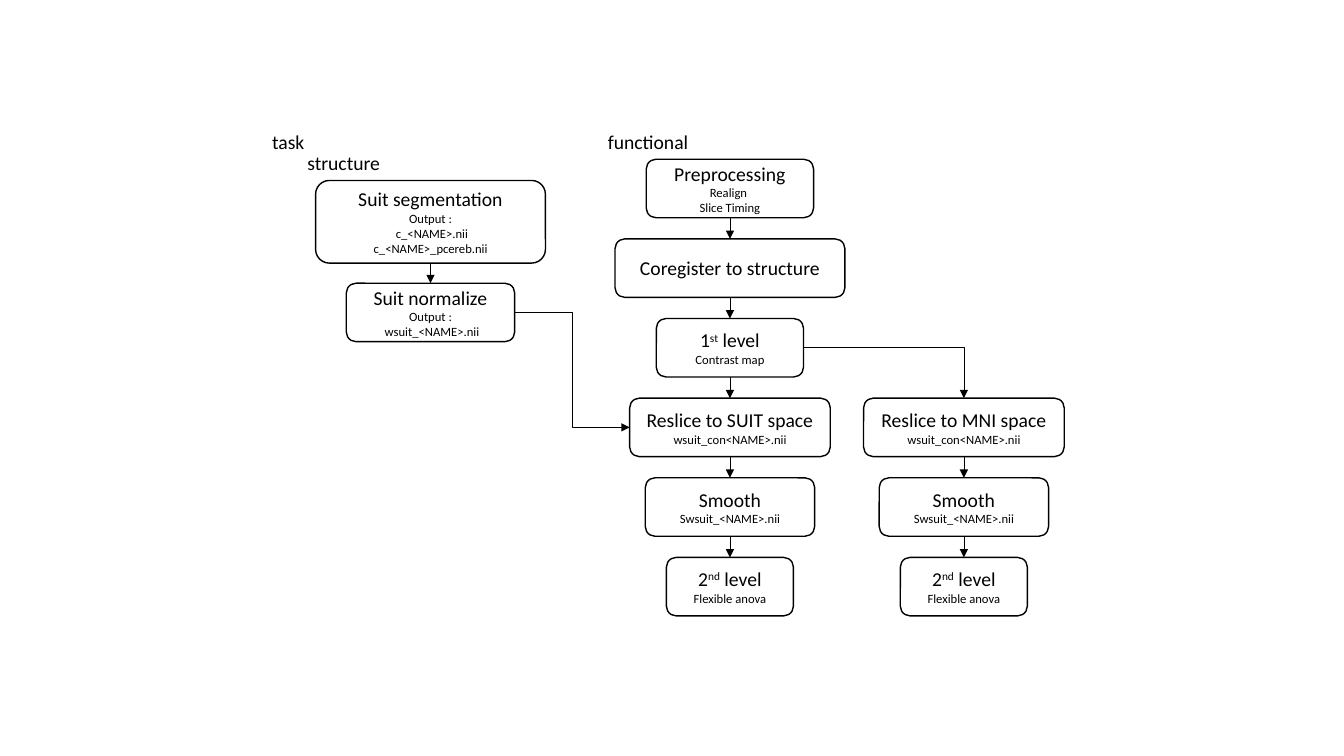
"""Flowchart of a cerebellar imaging pipeline with structural and functional branches."""
import pptx
import pptx.util
import pptx.dml.color
import pptx.enum.shapes
import pptx.enum.text
import pptx.oxml
import pptx.oxml.ns
from pptx.util import Inches, Pt

COLORS = {"ink": "000000", "box": "FFFFFF"}
INK = pptx.dml.color.RGBColor.from_string(COLORS["ink"])
BOX = pptx.dml.color.RGBColor.from_string(COLORS["box"])
KINDS = pptx.enum.shapes.MSO_CONNECTOR
TOP, LEFT, BOTTOM, RIGHT = range(4)


def write(p, text, size):
    """Fill a paragraph; text between carets is superscript."""
    p.font.name, p.font.size = "Calibri", Pt(size)
    p.font.color.rgb = INK
    for i, part in enumerate(text.split("^")):
        r = p.add_run()
        r.text = part
        if i % 2:
            r._r.get_or_add_rPr().set("baseline", "30000")


def connect(start, start_site, end, end_site, kind=KINDS.STRAIGHT):
    """Join two boxes with an arrow."""
    c = s.shapes.add_connector(kind, 0, 0, 0, 0)
    c.begin_connect(start, start_site)
    c.end_connect(end, end_site)
    c.line.color.rgb = INK
    c.line.width = Pt(0.5)
    tail = pptx.oxml.parse_xml(f'<a:tailEnd {pptx.oxml.ns.nsdecls("a")} type="triangle"/>')
    c.line._get_or_add_ln().append(tail)
    c._element.spPr.append(pptx.oxml.parse_xml(f'<a:effectLst {pptx.oxml.ns.nsdecls("a")}/>'))
    return c


prs = pptx.Presentation()
prs.slide_width, prs.slide_height = Inches(13.33), Inches(7.5)
s = prs.slides.add_slide(prs.slide_layouts[6])

labels = [("task", 2.6, 1.24, 0.53), ("structure", 2.95, 1.45, 0.93), ("functional", 5.93, 1.24, 1.01)]
for text, x, y, w in labels:
    tf = s.shapes.add_textbox(Inches(x), Inches(y), Inches(w), Inches(0.34)).text_frame
    tf.word_wrap = False
    tf.auto_size = pptx.enum.text.MSO_AUTO_SIZE.SHAPE_TO_FIT_TEXT
    write(tf.paragraphs[0], text, 14)

BOX_H, ROW_TOP, ROW_STEP = 0.58, 1.58, 0.79
row_y = [ROW_TOP + i * ROW_STEP for i in range(6)]
final_steps = [
    (row_y[4], 1.68, BOX_H, ["Smooth", "Swsuit_<NAME>.nii"]),
    (row_y[5], 1.26, BOX_H, ["2^nd^ level", "Flexible anova"]),
]
columns = {
    "structure": (4.27, [
        (1.79, 2.28, 0.82, ["Suit segmentation", "Output :", " c_<NAME>.nii", "c_<NAME>_pcereb.nii"]),
        (2.81, 1.67, BOX_H, ["Suit normalize", "Output :", " wsuit_<NAME>.nii"]),
    ]),
    "suit": (7.24, [
        (row_y[0], 1.66, BOX_H, ["Preprocessing", "Realign ", "Slice Timing"]),
        (row_y[1], 2.28, BOX_H, ["Coregister to structure"]),
        (row_y[2], 1.46, BOX_H, ["1^st^ level", "Contrast map"]),
        (row_y[3], 1.99, BOX_H, ["Reslice to SUIT space", "wsuit_con<NAME>.nii"]),
    ] + final_steps),
    "mni": (9.56, [
        (row_y[3], 1.99, BOX_H, ["Reslice to MNI space", "wsuit_con<NAME>.nii"]),
    ] + final_steps),
}

boxes = {}
for name, (center, steps) in columns.items():
    boxes[name] = []
    for y, w, h, lines in steps:
        sp = s.shapes.add_shape(pptx.enum.shapes.MSO_SHAPE.ROUNDED_RECTANGLE,
                                Inches(center - w / 2), Inches(y), Inches(w), Inches(h))
        sp.shadow.inherit = False
        sp.fill.solid()
        sp.fill.fore_color.rgb = BOX
        sp.line.color.rgb = INK
        sp.line.width = Pt(1)
        tf = sp.text_frame
        tf.word_wrap = True
        tf.vertical_anchor = pptx.enum.text.MSO_ANCHOR.MIDDLE
        for i, text in enumerate(lines):
            p = tf.add_paragraph() if i else tf.paragraphs[0]
            p.alignment = pptx.enum.text.PP_ALIGN.CENTER
            write(p, text, 9 if i else 14)
        boxes[name].append(sp)
    for upper, lower in zip(boxes[name], boxes[name][1:]):
        connect(upper, BOTTOM, lower, TOP)

connect(boxes["structure"][1], RIGHT, boxes["suit"][3], LEFT, KINDS.ELBOW)
to_mni = connect(boxes["suit"][2], RIGHT, boxes["mni"][0], TOP, KINDS.ELBOW)
to_mni._element.spPr.find(pptx.oxml.ns.qn("a:prstGeom")).set("prst", "bentConnector2")

prs.save("out.pptx")
